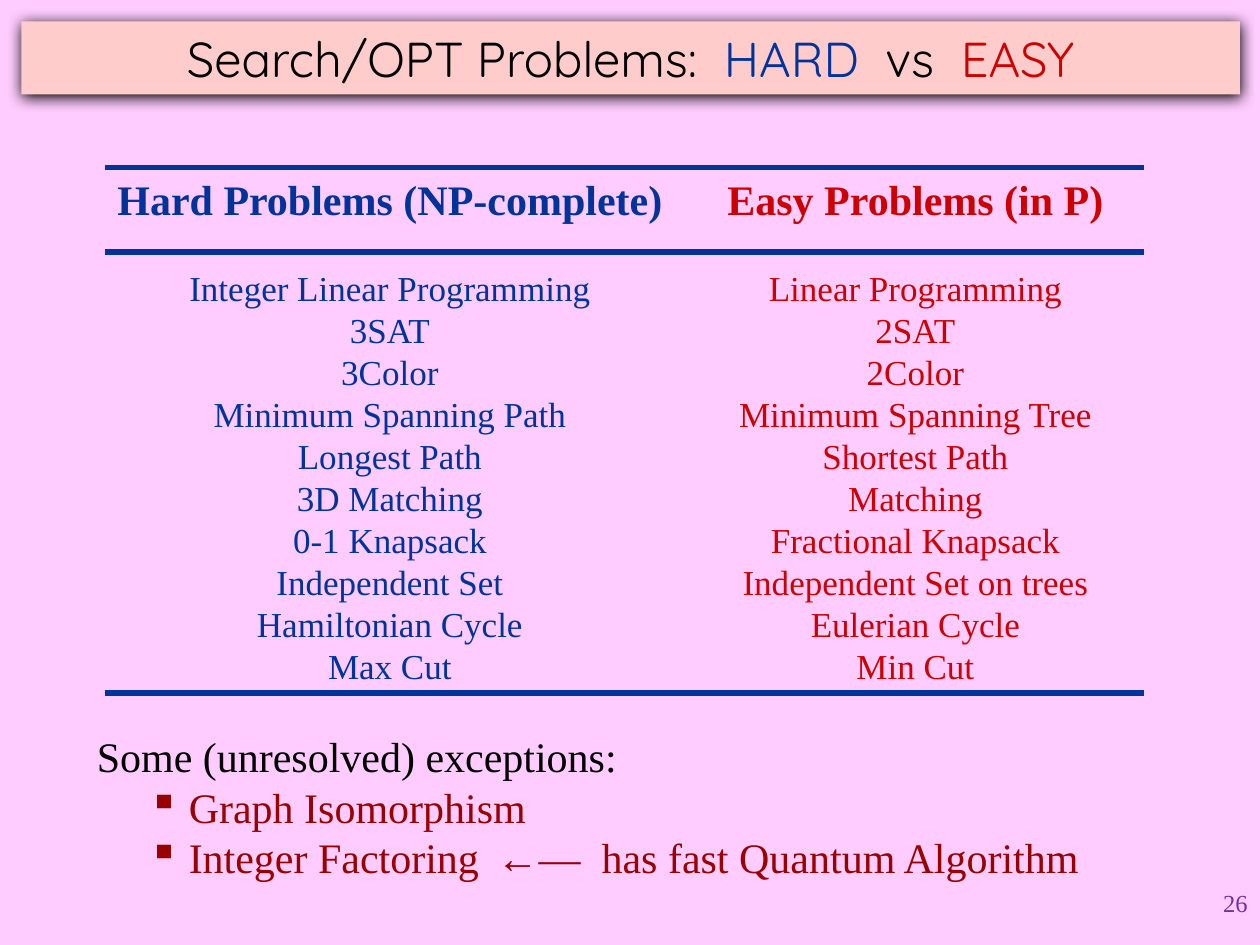
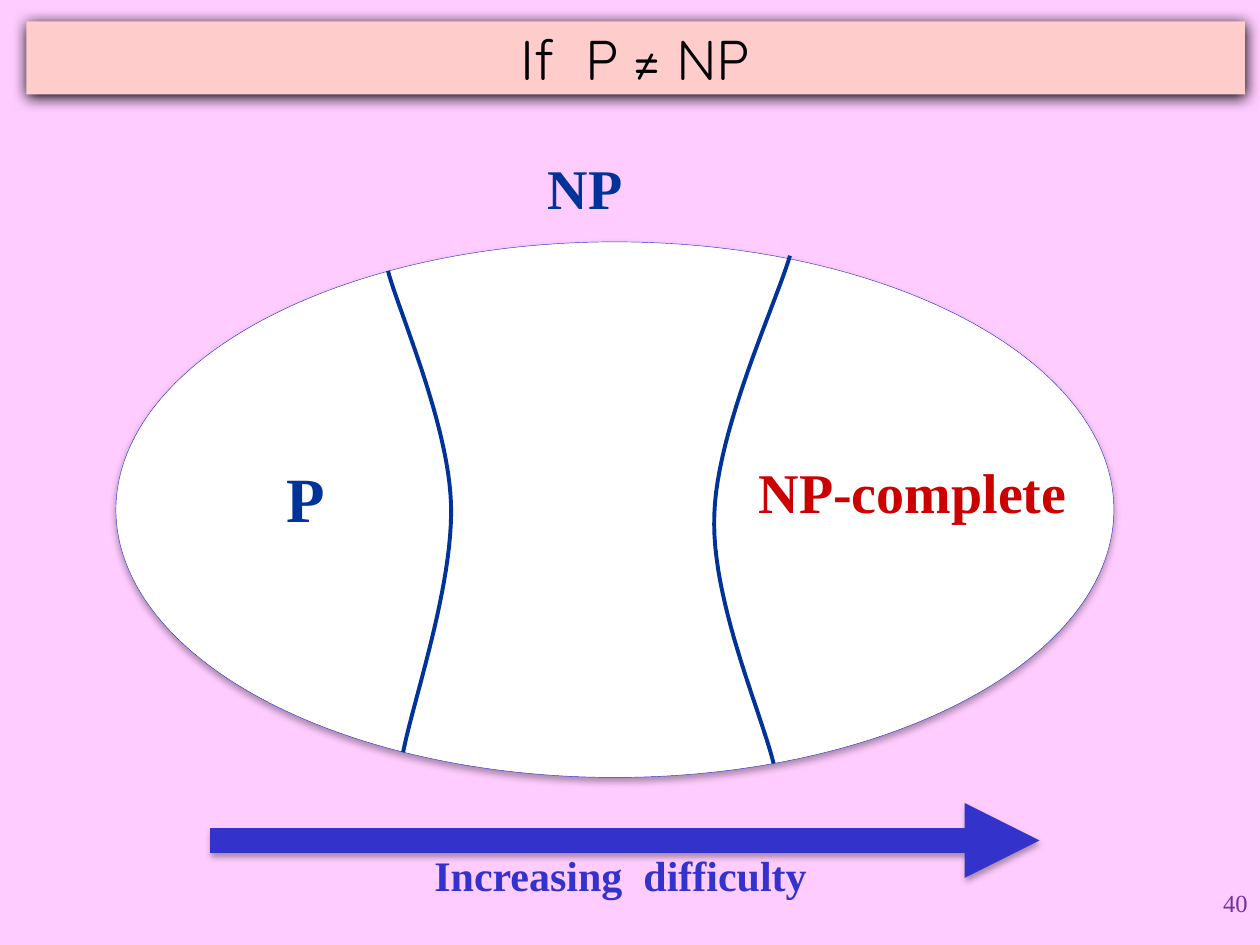
import pptx
import pptx.util
import pptx.dml.color
import pptx.enum.shapes
import pptx.enum.text
import lxml.etree
from pptx.oxml import parse_xml
from pptx.oxml.ns import nsdecls, qn

Inches, Pt = pptx.util.Inches, pptx.util.Pt
RGB = pptx.dml.color.RGBColor.from_string
ALIGN = pptx.enum.text.PP_ALIGN
SHAPE = pptx.enum.shapes.MSO_SHAPE
STRAIGHT = pptx.enum.shapes.MSO_CONNECTOR.STRAIGHT

COLORS = {
    "background": "FFCCFF", "band": "FFCCCC", "black": "000000",
    "hard": "003399", "easy": "CC0000", "exception": "990000",
    "difficulty": "3333CC", "number": "7030A0", "white": "FFFFFF",
}
BODY_FONT, TITLE_FONT = "Times New Roman", "Quicksand"
SOFT_SHADOW = (32, 3.5, 2.2)
BAND_SHADOW = (100, 8.5, 1)


def add_text(slide, box, lines, align=ALIGN.LEFT, wrap=False):
    """Add a text box; each line is (text, size, color, bold)."""
    frame = slide.shapes.add_textbox(*map(Inches, box)).text_frame
    frame.word_wrap = wrap
    for index, (text, size, color, bold) in enumerate(lines):
        paragraph = frame.paragraphs[0] if index == 0 else frame.add_paragraph()
        paragraph.text = text
        paragraph.alignment = align
        paragraph.line_spacing = Pt(1.2 * size)
        paragraph.font.name = BODY_FONT
        paragraph.font.size = Pt(size)
        paragraph.font.bold = bold
        paragraph.font.color.rgb = RGB(COLORS[color])
    return frame


def set_shadow(shape, shadow=None):
    """Replace the theme shadow by none, or by (opacity, blur, distance)."""
    properties = shape._element.spPr
    effects = lxml.etree.SubElement(properties, qn("a:effectLst"))
    if shadow:
        opacity, blur, distance = shadow
        effects.append(parse_xml(
            f'<a:outerShdw {nsdecls("a")} blurRad="{Pt(blur)}" dist="{Pt(distance)}" '
            f'dir="5400000" rotWithShape="0"><a:srgbClr val="{COLORS["black"]}">'
            f'<a:alpha val="{opacity * 1000}"/></a:srgbClr></a:outerShdw>'))


deck = pptx.Presentation()
deck.slide_width, deck.slide_height = Inches(10), Inches(7.5)

# Background, title band and number of both slides
pages = [
    (0.17, 28, "26", [("Search/OPT Problems: ", "black"), (" HARD  ", "hard"),
                      ("vs  ", "black"), ("EASY", "easy")]),
    (0.21, 32, "40", [("If  P \u2260 NP", "black")]),
]
slides = []
for band_left, title_size, number, title_runs in pages:
    slide = deck.slides.add_slide(deck.slide_layouts[6])
    slide.background.fill.solid()
    slide.background.fill.fore_color.rgb = RGB(COLORS["background"])
    band = slide.shapes.add_shape(SHAPE.RECTANGLE, Inches(band_left), Inches(0.17),
                                  Inches(9.67), Inches(0.58))
    band.fill.solid()
    band.fill.fore_color.rgb = RGB(COLORS["band"])
    band.line.fill.background()
    set_shadow(band, BAND_SHADOW)
    band.text_frame.vertical_anchor = pptx.enum.text.MSO_ANCHOR.MIDDLE
    title = band.text_frame.paragraphs[0]
    title.alignment = ALIGN.CENTER
    title.font.name = TITLE_FONT
    title.font.size = Pt(title_size)
    for text, color in title_runs:
        run = title.add_run()
        run.text = text
        run.font.color.rgb = RGB(COLORS[color])
    add_text(slide, (7.92, 7, 2.08, 0.5), [(number, 14, "number", False)],
             ALIGN.RIGHT, wrap=True)
    slides.append(slide)
comparison, diagram = slides

# Hard and easy problems side by side
problem_pairs = [
    ("Integer Linear Programming", "Linear Programming"),
    ("3SAT", "2SAT"),
    ("3Color", "2Color"),
    ("Minimum Spanning Path", "Minimum Spanning Tree"),
    ("Longest Path", "Shortest Path"),
    ("3D Matching", "Matching"),
    ("0-1 Knapsack", "Fractional Knapsack"),
    ("Independent Set", "Independent Set on trees"),
    ("Hamiltonian Cycle", "Eulerian Cycle"),
    ("Max Cut", "Min Cut"),
]
hard_problems, easy_problems = zip(*problem_pairs)
for left, width, heading, color, problems in [
    (0.83, 4.53, "Hard Problems (NP-complete)", "hard", hard_problems),
    (5.67, 3.19, "Easy Problems (in P)", "easy", easy_problems),
]:
    lines = [(heading, 24, color, True)]
    lines += [(problem, 20, color, False) for problem in problems]
    column = add_text(comparison, (left, 1.33, width, 4.17), lines, ALIGN.CENTER)
    column.paragraphs[0].space_after = Pt(24)

for y in (1.33, 2, 5.5):
    rule = comparison.shapes.add_connector(STRAIGHT, Inches(0.83), Inches(y),
                                           Inches(9.08), Inches(y))
    rule.line.color.rgb = RGB(COLORS["hard"])
    rule.line.width = Pt(3)
    set_shadow(rule)

exceptions = add_text(comparison, (0.67, 5.75, 8.5, 1.3), [
    ("Some (unresolved) exceptions:", 24, "black", False),
    ("Graph Isomorphism", 24, "exception", False),
    ("Integer Factoring", 24, "exception", False),
], wrap=True)
for text, size in [("  ", 20), ("\u2190\u2014  has fast Quantum Algorithm", 24)]:
    remark = exceptions.paragraphs[2].add_run()
    remark.text = text
    remark.font.size = Pt(size)
for item in exceptions.paragraphs[1:]:
    item.level = 1
    item_properties = item._p.get_or_add_pPr()
    item_properties.set("marL", str(Inches(0.73)))
    item_properties.set("indent", str(Inches(-0.32)))
    lxml.etree.SubElement(item_properties, qn("a:buChar")).set("char", "\u25aa")

# NP as an ellipse, cut by two curves into P, the middle and NP-complete
np_set = diagram.shapes.add_shape(SHAPE.OVAL, Inches(0.92), Inches(1.92),
                                  Inches(7.92), Inches(4.25))
np_set.fill.solid()
np_set.fill.fore_color.rgb = RGB(COLORS["white"])
np_set.line.color.rgb = RGB(COLORS["difficulty"])
np_set.line.width = Pt(0.25)
set_shadow(np_set, SOFT_SHADOW)

# Each border is two Bezier segments that share their middle point
borders = [
    [(3.08, 2.15), (3.16, 2.46), (3.56, 3.36), (3.58, 4),
     (3.6, 4.64), (3.28, 5.56), (3.2, 5.97)],
    [(6.27, 2.03), (6.17, 2.38), (5.69, 3.41), (5.67, 4.08),
     (5.64, 4.75), (6.04, 5.65), (6.14, 6.06)],
]
STEPS = 24
for controls in borders:
    points = []
    for segment in (controls[:4], controls[3:]):
        for step in range(1, STEPS + 1):
            t = step / STEPS
            weights = ((1 - t) ** 3, 3 * t * (1 - t) ** 2, 3 * t ** 2 * (1 - t), t ** 3)
            points.append(tuple(
                Inches(sum(w * point[axis] for w, point in zip(weights, segment)))
                for axis in (0, 1)))
    builder = diagram.shapes.build_freeform(*map(Inches, controls[0]))
    builder.add_line_segments(points, close=False)
    border = builder.convert_to_shape()
    border.fill.background()
    border.line.color.rgb = RGB(COLORS["hard"])
    border.line.width = Pt(2.25)
    set_shadow(border)

difficulty_arrow = diagram.shapes.add_connector(STRAIGHT, Inches(1.67), Inches(6.67),
                                                Inches(8.25), Inches(6.67))
difficulty_arrow.line.color.rgb = RGB(COLORS["difficulty"])
difficulty_arrow.line.width = Pt(14.25)
arrow_line = difficulty_arrow._element.spPr.find(qn("a:ln"))
lxml.etree.SubElement(arrow_line, qn("a:tailEnd")).set("type", "triangle")
set_shadow(difficulty_arrow, SOFT_SHADOW)

for box, label, size, color in [
    ((2.17, 3.6, 0.51, 0.7), "P", 36, "hard"),
    ((5.91, 3.58, 2.67, 0.64), "NP-complete", 32, "easy"),
    ((4.25, 1.17, 0.79, 0.63), "NP", 32, "hard"),
    ((3.33, 6.69, 3.19, 0.51), "Increasing  difficulty", 24, "difficulty"),
]:
    add_text(diagram, box, [(label, size, color, True)], ALIGN.CENTER)

deck.save("out.pptx")
